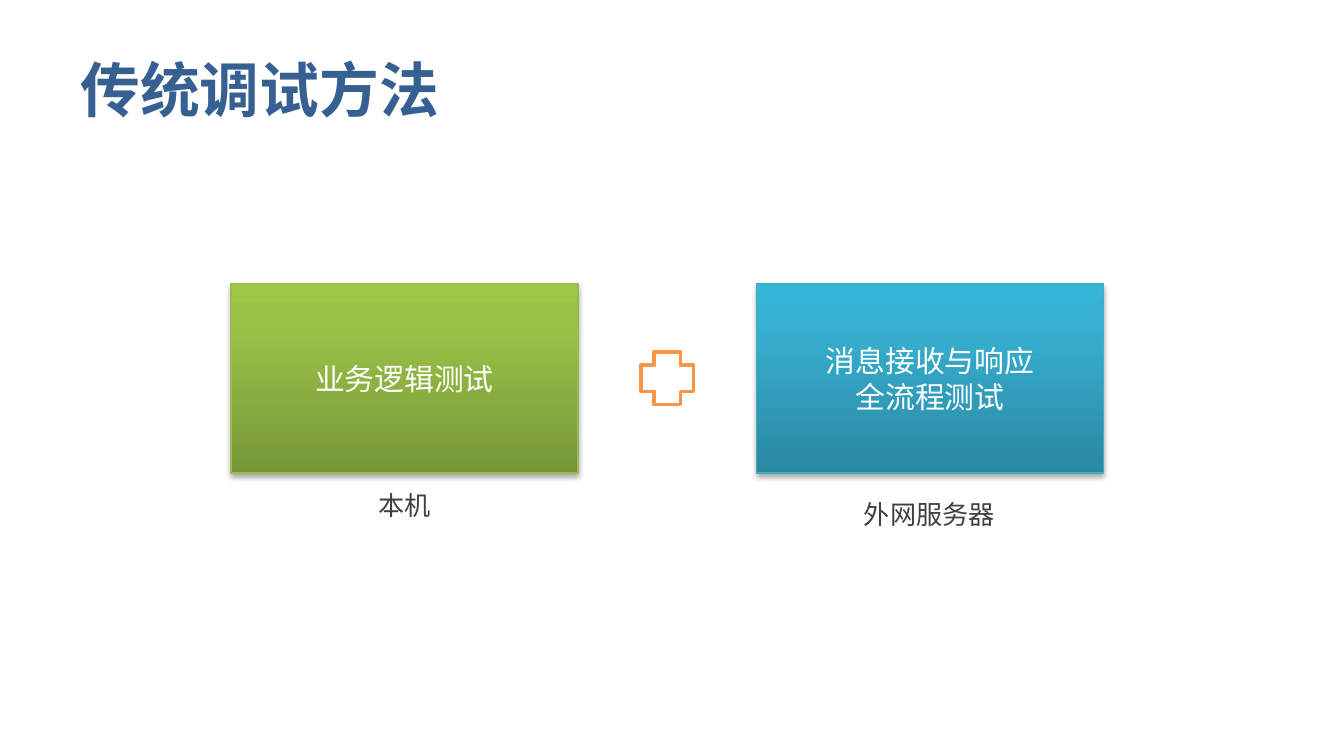
import dataclasses
import typing

import lxml.etree
import pptx
import pptx.dml.color
import pptx.enum.shapes
import pptx.enum.text
import pptx.oxml.ns
import pptx.util

RGBColor = pptx.dml.color.RGBColor
ShapeType = pptx.enum.shapes.MSO_SHAPE
Align = pptx.enum.text.PP_ALIGN
Anchor = pptx.enum.text.MSO_ANCHOR
qn = pptx.oxml.ns.qn

WHITE = RGBColor(0xFF, 0xFF, 0xFF)
TITLE_BLUE = RGBColor(0x37, 0x60, 0x92)
LABEL_GRAY = RGBColor(0x40, 0x40, 0x40)
PLUS_ORANGE = RGBColor(0xF7, 0x96, 0x46)
GREEN_LINE = RGBColor(0x98, 0xB9, 0x55)
GREEN_STOPS = (RGBColor(0x77, 0x97, 0x37), RGBColor(0x9B, 0xC3, 0x48), RGBColor(0x9D, 0xC7, 0x46))
TEAL_LINE = RGBColor(0x46, 0xAA, 0xC5)
TEAL_STOPS = (RGBColor(0x2A, 0x88, 0xA2), RGBColor(0x37, 0xB1, 0xD2), RGBColor(0x34, 0xB4, 0xD6))
STOP_POSITIONS = (0, 80, 100)

FONT = "Noto Sans CJK SC"
CELL = 0.1
COLUMNS, ROWS = 100, 56.25
CARD_LEFT, CARD_TOP = 17.2, 21.1
CARD_WIDTH, CARD_HEIGHT = 25.8, 14.1
CARD_PITCH = 39.1
PLUS_SIZE = 3.9
LABEL_HEIGHT = 3.4

TITLE_FORMAT = {"size": pptx.util.Pt(32), "bold": True}
CARD_FORMAT = {"size": pptx.util.Pt(16)}
LABEL_FORMAT = {"size": pptx.util.Pt(14)}


@dataclasses.dataclass(frozen=True)
class Card:
    lines: tuple[str, ...]
    stops: tuple[RGBColor, ...]
    outline: RGBColor
    label: str
    label_top: float
    label_width: float


CARDS = (
    Card(("业务逻辑测试",), GREEN_STOPS, GREEN_LINE, "本机", 35.9, 5.9),
    Card(("消息接收与响应", "全流程测试"), TEAL_STOPS, TEAL_LINE, "外网服务器", 36.6, 11.8),
)


def grid(*cells: float) -> list[int]:
    return [pptx.util.Inches(cell * CELL) for cell in cells]


def write_text(shape, lines: tuple[str, ...], font_format: dict[str, typing.Any],
               color: RGBColor, frame_format: dict[str, typing.Any], align: Align) -> None:
    frame = shape.text_frame
    for name, value in frame_format.items():
        setattr(frame, name, value)
    for index, line in enumerate(lines):
        paragraph = frame.paragraphs[0] if index == 0 else frame.add_paragraph()
        paragraph.alignment = align
        run = paragraph.add_run()
        run.text = line
        for name, value in {"name": FONT, **font_format}.items():
            setattr(run.font, name, value)
        run.font.color.rgb = color
        latin = run.font._element.find(qn("a:latin"))
        east_asian = lxml.etree.Element(qn("a:ea"), typeface=FONT)
        latin.addnext(east_asian)


def add_color(parent, color: RGBColor):
    return lxml.etree.SubElement(parent, qn("a:srgbClr"), val=str(color))


def fill_gradient(shape, colors: tuple[RGBColor, ...]) -> None:
    shape.fill.gradient()
    shape.fill.gradient_angle = 90
    stop_list = shape._element.spPr.find(".//" + qn("a:gsLst"))
    for stop in list(stop_list):
        stop_list.remove(stop)
    for position, color in zip(STOP_POSITIONS, colors):
        stop = lxml.etree.SubElement(stop_list, qn("a:gs"), pos=str(position * 1000))
        add_color(stop, color)


def add_shadow(shape) -> None:
    effects = shape._element.spPr.find(qn("a:effectLst"))
    shadow = lxml.etree.SubElement(
        effects, qn("a:outerShdw"), blurRad=str(pptx.util.Pt(3.1)),
        dist=str(pptx.util.Pt(1.8)), dir="5400000", rotWithShape="0")
    color = add_color(shadow, RGBColor(0, 0, 0))
    lxml.etree.SubElement(color, qn("a:alpha"), val="35000")


def add_outlined(slide, kind: ShapeType, box: list[int], outline: RGBColor, width: float):
    shape = slide.shapes.add_shape(kind, *box)
    shape.shadow.inherit = False
    shape.line.color.rgb = outline
    shape.line.width = pptx.util.Pt(width)
    return shape


def draw_card(slide, card: Card, column: int) -> None:
    left = CARD_LEFT + column * CARD_PITCH
    box = grid(left, CARD_TOP, CARD_WIDTH, CARD_HEIGHT)
    shape = add_outlined(slide, ShapeType.RECTANGLE, box, card.outline, 0.75)
    fill_gradient(shape, card.stops)
    add_shadow(shape)
    write_text(shape, card.lines, CARD_FORMAT, WHITE,
               {"word_wrap": True, "vertical_anchor": Anchor.MIDDLE}, Align.CENTER)

    label_left = left + (CARD_WIDTH - card.label_width) / 2
    label = slide.shapes.add_textbox(
        *grid(label_left, card.label_top, card.label_width, LABEL_HEIGHT))
    write_text(label, (card.label,), LABEL_FORMAT, LABEL_GRAY,
               {"word_wrap": False, "auto_size": pptx.enum.text.MSO_AUTO_SIZE.SHAPE_TO_FIT_TEXT},
               Align.LEFT)


def draw_plus(slide) -> None:
    left = CARD_LEFT + (CARD_PITCH + CARD_WIDTH - PLUS_SIZE) / 2
    top = CARD_TOP + (CARD_HEIGHT - PLUS_SIZE) / 2
    box = grid(left, top, PLUS_SIZE, PLUS_SIZE)
    plus = add_outlined(slide, ShapeType.CROSS, box, PLUS_ORANGE, 2)
    plus.fill.solid()
    plus.fill.fore_color.rgb = WHITE


presentation = pptx.Presentation()
presentation.slide_width, presentation.slide_height = grid(COLUMNS, ROWS)
slide = presentation.slides.add_slide(presentation.slide_layouts[6])

title = slide.shapes.add_textbox(*grid(5, 3, 90, 7.2))
write_text(title, ("传统调试方法",), TITLE_FORMAT, TITLE_BLUE,
           {"word_wrap": True, "vertical_anchor": Anchor.MIDDLE}, Align.LEFT)
for column, card in enumerate(CARDS):
    draw_card(slide, card, column)
draw_plus(slide)

presentation.save("out.pptx")
